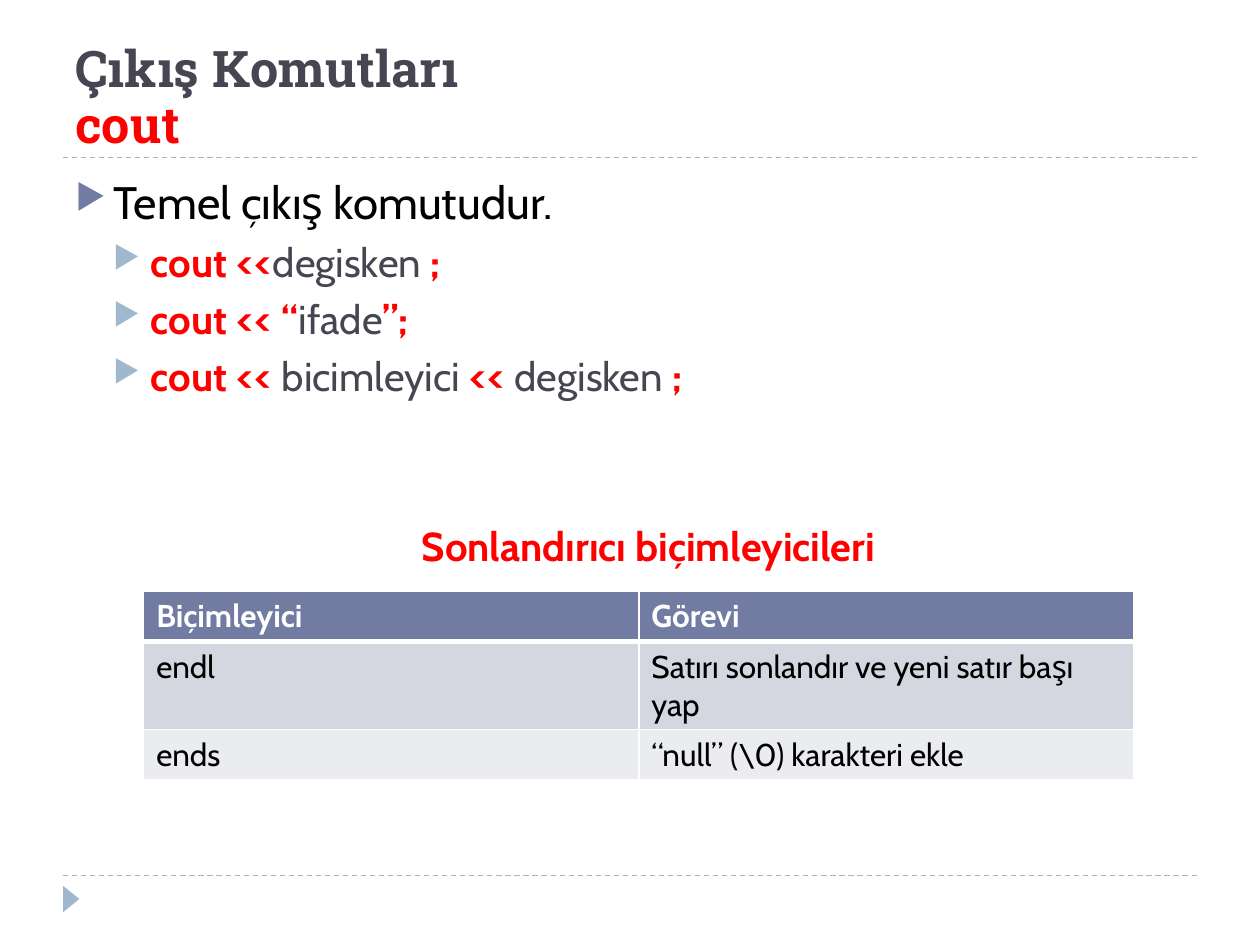
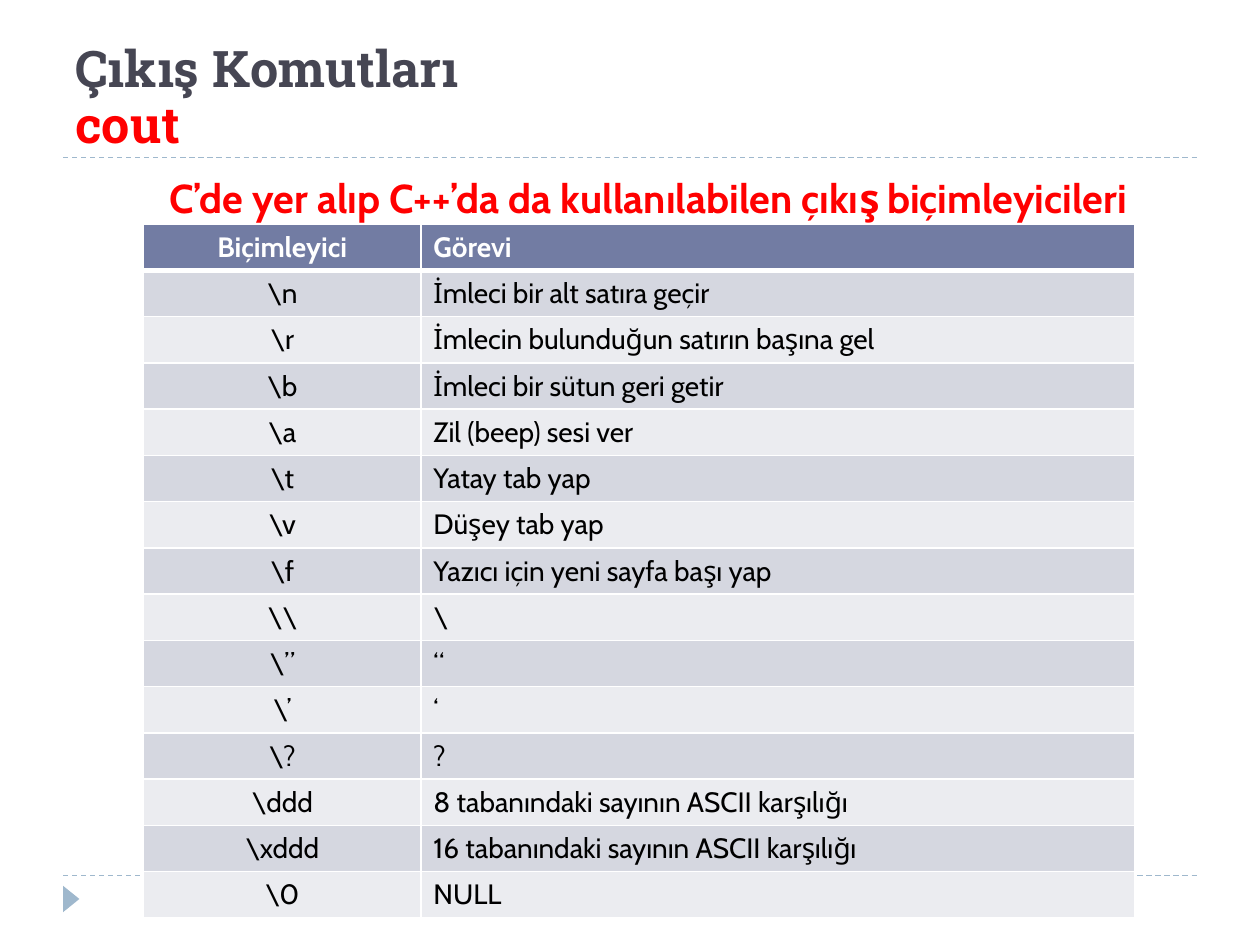
"""Build two slides on the C++ output command cout and its format specifiers."""
from dataclasses import dataclass

from lxml.etree import SubElement
from pptx import Presentation
from pptx.dml.color import RGBColor as RGB
from pptx.enum.dml import MSO_LINE
from pptx.enum.shapes import MSO_CONNECTOR as CONNECTOR, MSO_SHAPE as SHAPE
from pptx.enum.text import MSO_ANCHOR as ANCHOR, PP_ALIGN as ALIGN
from pptx.oxml.ns import qn
from pptx.util import Inches, Pt


@dataclass(frozen=True)
class Theme:
    heading: str = "Roboto Slab"
    body: str = "Cabin"
    ink: str = "464653"
    black: str = "000000"
    white: str = "FFFFFF"
    red: str = "FF0000"
    accent: str = "727CA3"
    light: str = "9FB8CD"
    bands: tuple = ("D5D7E0", "EBECF0")
    title_size: float = 28.8
    lead_size: float = 26
    code_size: float = 23


theme = Theme()


def style(r, size, color, bold=False, font=theme.body):
    r.font.name, r.font.size, r.font.bold = font, Pt(size), bold
    r.font.color.rgb = RGB.from_string(color)


def solid_xml(parent, color):
    fill = SubElement(parent, qn("a:solidFill"))
    SubElement(fill, qn("a:srgbClr"), val=color)


pages = [
    {
        "lead": "Temel çıkış komutudur.",
        "code": [
            [("cout <<", True), ("degisken ", False), (";", True)],
            [("cout << “", True), ("ifade", False), ("”;", True)],
            [("cout << ", True), ("bicimleyici ", False), ("<< ", True),
             ("degisken", False), (" ;", True)],
        ],
        "caption": "Sonlandırıcı biçimleyicileri",
        "caption_gap": 70,
        "top": 4.69,
        "cols": [3.93, 3.93],
        "heights": [0.4, 0.7, 0.4],
        "size": 18,
        "key_align": ALIGN.LEFT,
        "rows": [
            ("Biçimleyici", "Görevi"),
            ("endl", "Satırı sonlandır ve yeni satır başı yap"),
            ("ends", "“null” (\\0) karakteri ekle"),
        ],
    },
    {
        "lead": None,
        "code": [],
        "caption": "C’de yer alıp C++’da da kullanılabilen çıkış biçimleyicileri",
        "caption_gap": 5,
        "top": 1.78,
        "cols": [2.2, 5.67],
        "heights": [5.5 / 15] * 15,
        "size": 16,
        "key_align": ALIGN.CENTER,
        "rows": [
            ("Biçimleyici", "Görevi"),
            ("\\n", "İmleci bir alt satıra geçir"),
            ("\\r", "İmlecin bulunduğun satırın başına gel"),
            ("\\b", "İmleci bir sütun geri getir"),
            ("\\a", "Zil (beep) sesi ver"),
            ("\\t", "Yatay tab yap"),
            ("\\v", "Düşey tab yap"),
            ("\\f", "Yazıcı için yeni sayfa başı yap"),
            ("\\\\", "\\"),
            ("\\”", "“"),
            ("\\’", "‘"),
            ("\\?", "?"),
            ("\\ddd", "8 tabanındaki sayının ASCII karşılığı"),
            ("\\xddd", "16 tabanındaki sayının ASCII karşılığı"),
            ("\\0", "NULL"),
        ],
    },
]

prs = Presentation()
prs.slide_width, prs.slide_height = Inches(10), Inches(7.5)

for page in pages:
    slide = prs.slides.add_slide(prs.slide_layouts[6])
    shapes = slide.shapes

    for y in (6.95, 1.25):
        rule = shapes.add_connector(CONNECTOR.STRAIGHT, Inches(0.5), Inches(y), Inches(9.5), Inches(y))
        rule.line.color.rgb = RGB.from_string(theme.light)
        rule.line.width = Pt(0.75)
        rule.line.dash_style = MSO_LINE.DASH
        SubElement(rule.element.spPr, qn("a:effectLst"))

    marker = shapes.add_shape(SHAPE.ISOSCELES_TRIANGLE, Inches(0.46), Inches(7.07), Inches(0.21), Inches(0.13))
    marker.rotation = 90
    marker.shadow.inherit = False
    marker.fill.solid()
    marker.fill.fore_color.rgb = RGB.from_string(theme.light)
    marker.line.fill.background()

    tf = shapes.add_textbox(Inches(0.5), Inches(0.17), Inches(9), Inches(1.08)).text_frame
    tf.word_wrap = True
    tf.vertical_anchor = ANCHOR.BOTTOM
    tf.margin_bottom = Inches(0.02)
    p = tf.paragraphs[0]
    p.text = "Çıkış Komutları\vcout"
    p.line_spacing = 0.93
    for r, color in zip(p.runs, (theme.ink, theme.red)):
        style(r, theme.title_size, color, True, theme.heading)

    tf = shapes.add_textbox(Inches(0.5), Inches(1.33), Inches(9), Inches(5.4)).text_frame
    tf.word_wrap = True
    lines = [(0, 6, theme.accent, [(page["lead"], False)])] if page["lead"] else []
    lines += [(1, 5, theme.light, parts) for parts in page["code"]]
    lines.append((1, page["caption_gap"], None, [(page["caption"], True)]))
    for i, (level, gap, bullet, parts) in enumerate(lines):
        p = tf.add_paragraph() if i else tf.paragraphs[0]
        p.level = level
        p.space_before = Pt(gap)
        pPr = p._p.get_or_add_pPr()
        pPr.set("marL", str(Inches(0.3 * (level + 1))))
        pPr.set("indent", str(Inches(-0.3)))
        if bullet:
            solid = SubElement(pPr, qn("a:buClr"))
            SubElement(solid, qn("a:srgbClr"), val=bullet)
            SubElement(pPr, qn("a:buSzPct"), val="76000")
            SubElement(pPr, qn("a:buChar"), char="▶")
        else:
            SubElement(pPr, qn("a:buNone"))
            p.alignment = ALIGN.CENTER
        size = theme.code_size if level else theme.lead_size
        plain = theme.ink if level else theme.black
        for text, is_code in parts:
            r = p.add_run()
            r.text = text
            style(r, size, theme.red if is_code else plain, is_code)

    rows = page["rows"]
    table = shapes.add_table(len(rows), 2, Inches(1.14), Inches(page["top"]),
                             Inches(7.87), Inches(sum(page["heights"]))).table
    for col, width in zip(table.columns, page["cols"]):
        col.width = Inches(width)
    for i, (row, height) in enumerate(zip(rows, page["heights"])):
        table.rows[i].height = Inches(height)
        for j, text in enumerate(row):
            cell = table.cell(i, j)
            tcPr = cell._tc.get_or_add_tcPr()
            for side in "LRTB":
                thick = (i, side) in ((0, "B"), (1, "T"))
                border = SubElement(tcPr, qn(f"a:ln{side}"), w=str(Pt(3 if thick else 1)))
                solid_xml(border, theme.white)
            cell.fill.solid()
            cell.fill.fore_color.rgb = RGB.from_string(theme.bands[(i - 1) % 2] if i else theme.accent)
            p = cell.text_frame.paragraphs[0]
            p.text = text
            p.alignment = ALIGN.LEFT if j else page["key_align"]
            style(p.runs[0], page["size"], theme.black if i else theme.white, i == 0)

prs.save("out.pptx")
